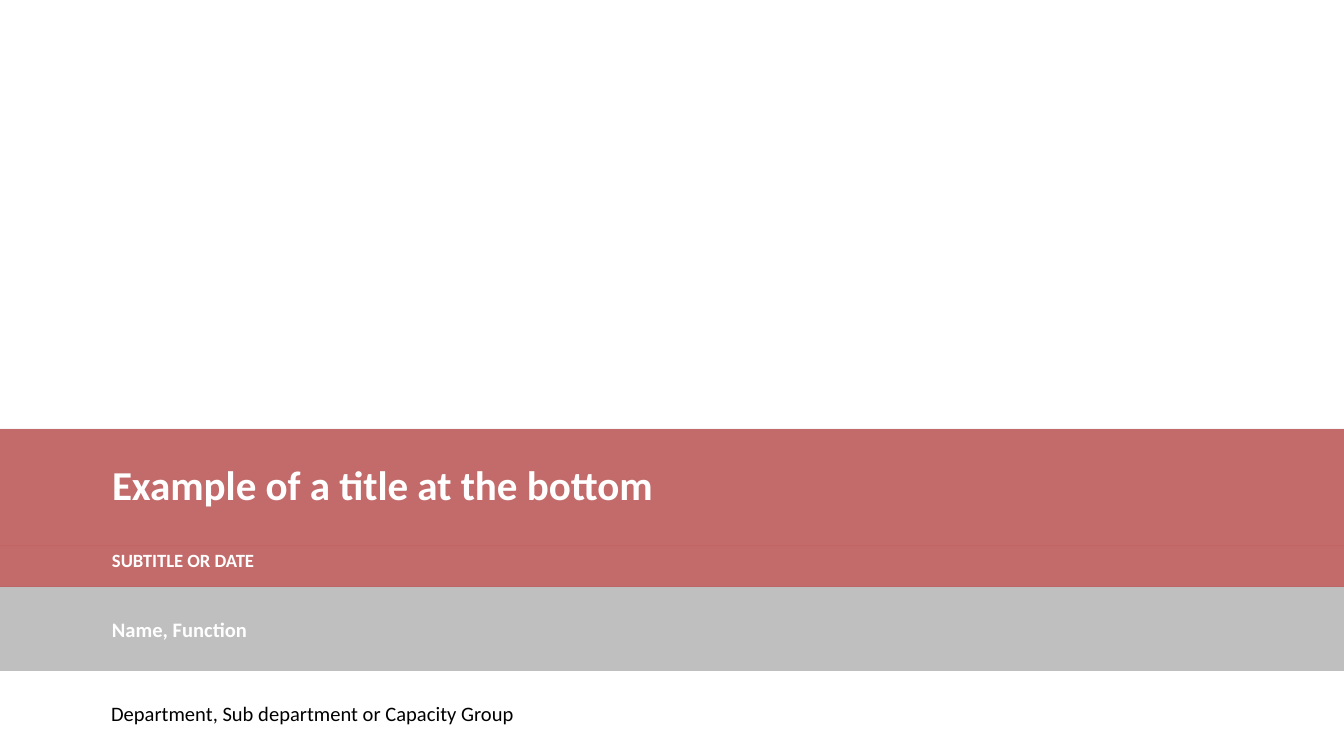
from lxml import etree
from pptx import Presentation
from pptx.dml.color import RGBColor
from pptx.enum.shapes import MSO_SHAPE
from pptx.enum.text import MSO_ANCHOR, MSO_AUTO_SIZE, PP_ALIGN
from pptx.oxml.ns import qn
from pptx.util import Emu, Pt

RECT = MSO_SHAPE.RECTANGLE
TOP, MIDDLE = MSO_ANCHOR.TOP, MSO_ANCHOR.MIDDLE
LEFT = PP_ALIGN.LEFT
FIXED = MSO_AUTO_SIZE.NONE

SCALE = 6804
WIDE, HIGH = 1344, 756
INDENT, RIGHT = 112, 289
COLORS = {"red": "C81919", "black": "000000", "white": "FFFFFF"}


def px(n):
    return Emu(n * SCALE)


class Deck:
    font = "Calibri"

    def __init__(self):
        self.file = Presentation()
        self.file.slide_width, self.file.slide_height = px(WIDE), px(HIGH)
        self.slide = self.file.slides.add_slide(self.file.slide_layouts[5])

    def paint(self, shape, box, color, alpha):
        shape.left, shape.top, shape.width, shape.height = map(px, box)
        shape.shadow.inherit = False
        shape.line.fill.background()
        shape.fill.solid()
        shape.fill.fore_color.rgb = RGBColor.from_string(COLORS[color])
        if alpha < 100:
            tint = shape.element.spPr.find(qn("a:solidFill"))[0]
            etree.SubElement(tint, qn("a:alpha"), val=str(alpha * 1000))
        return shape

    def band(self, box, color, alpha=100):
        shape = self.slide.shapes.add_shape(RECT, *map(px, box))
        return self.paint(shape, box, color, alpha)

    def title(self, box, color, alpha):
        shape = self.slide.shapes.title
        self.slide.shapes.element.append(shape.element)
        return self.paint(shape, box, color, alpha)

    def label(self, shape, text, size, color="white", bold=True,
              anchor=MIDDLE, top=0, right=0, wrap=True, line=None):
        frame = shape.text_frame
        frame.auto_size = FIXED
        frame.word_wrap = wrap
        frame.vertical_anchor = anchor
        frame.margin_left, frame.margin_right = px(INDENT), px(right)
        frame.margin_top, frame.margin_bottom = px(top), 0
        para = frame.paragraphs[0]
        para.text = text
        para.alignment = LEFT
        if line:
            para.line_spacing = Pt(line)
        font = para.font
        font.name, font.size, font.bold = self.font, Pt(size), bold
        font.color.rgb = RGBColor.from_string(COLORS[color])


def main():
    deck = Deck()
    deck.band((0, 429, WIDE, 158), "black", 25)
    title = deck.title((0, 429, WIDE, 117), "red", 50)
    deck.label(title, "Example of a title at the bottom", 22, right=RIGHT, line=23)
    date = deck.band((0, 546, WIDE, 41), "red", 50)
    deck.label(date, "SUBTITLE OR DATE", 10, anchor=TOP, top=3, right=RIGHT, wrap=False)
    name = deck.band((0, 587, WIDE, 84), "black", 25)
    deck.label(name, "Name, Function", 11)
    group = deck.band((-1, 671, 1081, 85), "white")
    deck.label(group, "Department, Sub department or Capacity Group", 11, "black", False)
    deck.file.save("out.pptx")


if __name__ == "__main__":
    main()
